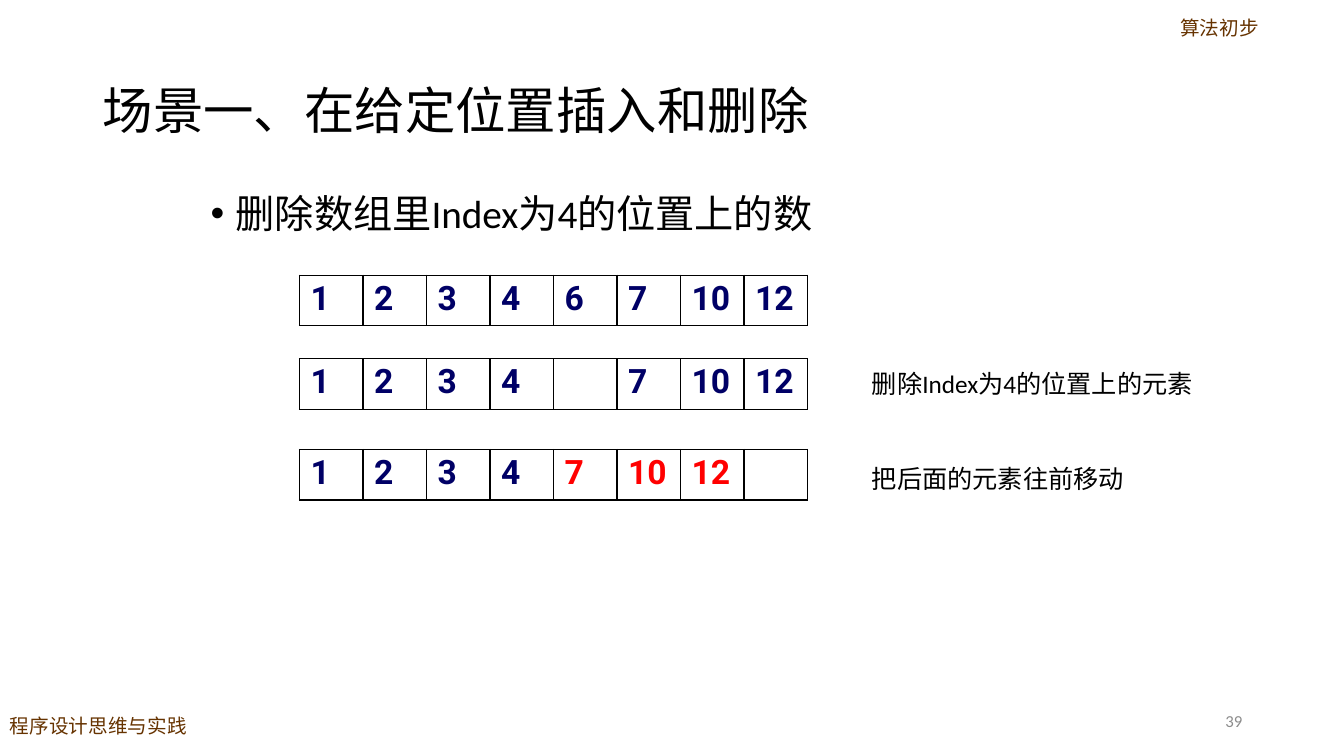
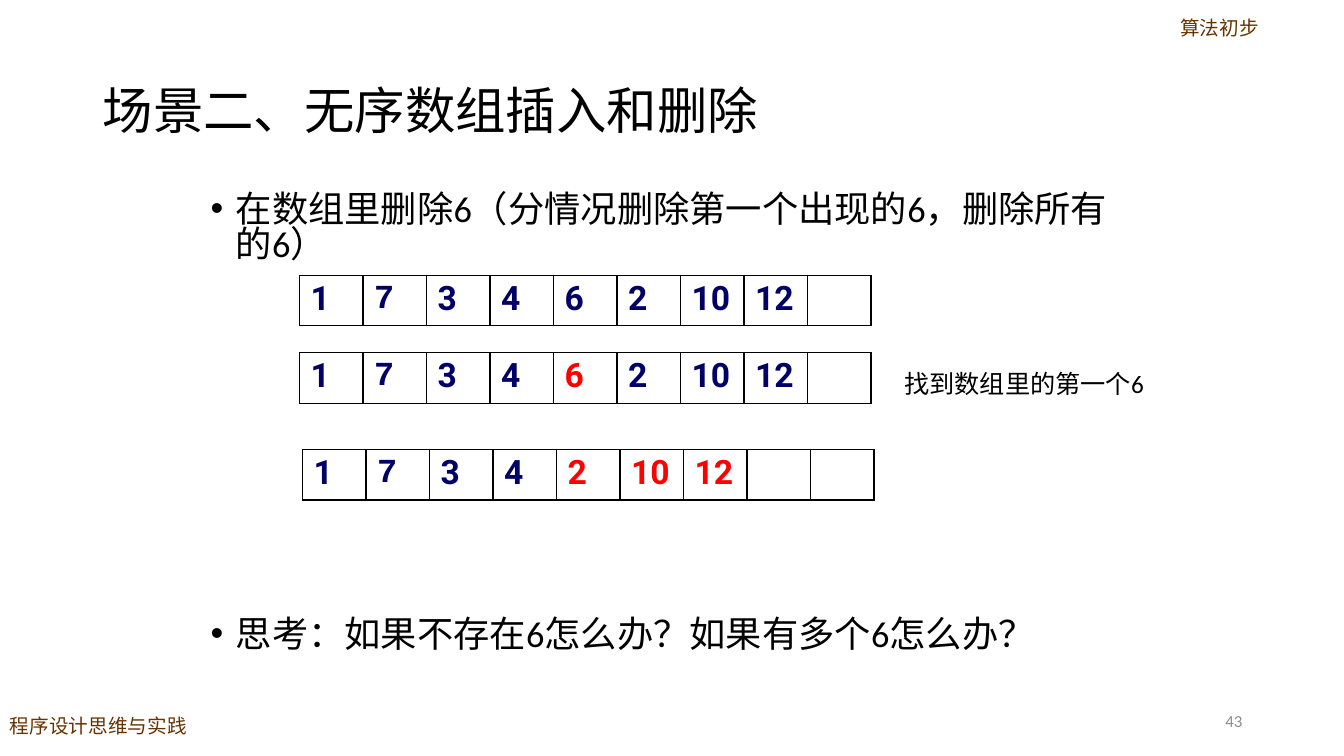
from lxml import etree
from pptx import Presentation
from pptx.dml.color import RGBColor
from pptx.enum.text import MSO_ANCHOR, PP_ALIGN
from pptx.oxml.ns import qn
from pptx.util import Pt

PX = 9144  # 100 px to the inch
LEFT, CENTER, RIGHT = PP_ALIGN.LEFT, PP_ALIGN.CENTER, PP_ALIGN.RIGHT
TOP, MIDDLE = MSO_ANCHOR.TOP, MSO_ANCHOR.MIDDLE

BLACK = RGBColor(0x00, 0x00, 0x00)
BROWN = RGBColor(0x66, 0x33, 0x00)
GREY = RGBColor(0x8C, 0x8C, 0x8C)
NAVY = RGBColor(0x00, 0x00, 0x66)
RED = RGBColor(0xFF, 0x00, 0x00)

COURSE = "程序设计思维与实践"
CHAPTER = "算法初步"
CELL_WIDTH, CELL_HEIGHT = 63, 50

# Arrays: left, top, values, indexes in red, indexes in the monospaced font.
# Notes: left, top, width, text. Bullets: space before in points, text.
SLIDES = [
    {
        "title": "场景一、在给定位置插入和删除",
        "number": "39",
        "bullet_size": 28,
        "bullet_spacing": 0.9,
        "bullets": [(0, "删除数组里Index为4的位置上的数")],
        "arrays": [
            (297, 273, ["1", "2", "3", "4", "6", "7", "10", "12"], [], []),
            (297, 356, ["1", "2", "3", "4", "", "7", "10", "12"], [], []),
            (297, 446, ["1", "2", "3", "4", "7", "10", "12", ""], [4, 5, 6], []),
        ],
        "notes": [
            (855, 361, 343, "删除Index为4的位置上的元素"),
            (855, 455, 273, "把后面的元素往前移动"),
        ],
    },
    {
        "title": "场景二、无序数组插入和删除",
        "number": "43",
        "bullet_size": 25.9,
        "bullet_spacing": 0.8,
        "bullets": [
            (0, "在数组里删除6（分情况删除第一个出现的6，删除所有的6）"),
            (254, "思考：如果不存在6怎么办？如果有多个6怎么办？"),
        ],
        "arrays": [
            (297, 273, ["1", "7", "3", "4", "6", "2", "10", "12", ""], [], [1]),
            (297, 350, ["1", "7", "3", "4", "6", "2", "10", "12", ""], [4], [1]),
            (300, 446, ["1", "7", "3", "4", "2", "10", "12", "", ""], [4, 5, 6], [1]),
        ],
        "notes": [(887, 361, 260, "找到数组里的第一个6")],
    },
]


def add_span(para, text, size, font="Calibri", color=BLACK, bold=False):
    span = para.add_run()
    span.text = text
    span.font.size = Pt(size)
    span.font.name = font
    span.font.color.rgb = color
    span.font.bold = bold


def add_box(page, left, top, width, height, anchor=TOP):
    box = page.shapes.add_textbox(left * PX, top * PX, width * PX, height * PX)
    box.text_frame.word_wrap = True
    box.text_frame.vertical_anchor = anchor
    return box.text_frame


def add_label(page, place, text, size, font="Calibri", color=BLACK,
              align=LEFT, anchor=TOP, spacing=1.0):
    para = add_box(page, *place, anchor).paragraphs[0]
    para.alignment = align
    para.line_spacing = spacing
    add_span(para, text, size, font, color)


def add_frame(page, title, number):
    """Add the footer, header, title and page number that every slide has."""
    add_label(page, (0, 706, 289, 44), COURSE, 14, "Arial", BROWN, spacing=0.9)
    add_label(page, (1064, 13, 291, 39), CHAPTER, 14, "Noto Sans CJK SC", BROWN,
              CENTER, spacing=0.9)
    add_label(page, (92, 40, 1150, 145), title, 36, "Arial",
              anchor=MIDDLE, spacing=0.9)
    add_label(page, (942, 695, 300, 40), number, 12, color=GREY,
              align=RIGHT, anchor=MIDDLE)


def add_bullets(page, bullets, size, spacing):
    frame = add_box(page, 199, 188, 934, 476)
    for index, (space, text) in enumerate(bullets):
        para = frame.add_paragraph() if index else frame.paragraphs[0]
        properties = para._p.get_or_add_pPr()
        properties.set("marL", str(25 * PX))
        properties.set("indent", str(-25 * PX))
        etree.SubElement(properties, qn("a:buFont")).set("typeface", "Arial")
        etree.SubElement(properties, qn("a:buChar")).set("char", "•")
        para.line_spacing = spacing
        para.space_before = Pt(space)
        add_span(para, text, size)


def add_borders(cell):
    properties = cell._tc.get_or_add_tcPr()
    for side in ("a:lnL", "a:lnR", "a:lnT", "a:lnB"):
        line = etree.SubElement(properties, qn(side), w=str(Pt(1)))
        fill = etree.SubElement(line, qn("a:solidFill"))
        etree.SubElement(fill, qn("a:srgbClr"), val=str(BLACK))


def add_array(page, left, top, values, red, mono):
    table = page.shapes.add_table(
        1, len(values), left * PX, top * PX,
        len(values) * CELL_WIDTH * PX, CELL_HEIGHT * PX).table
    table.first_row = False
    table.horz_banding = False
    for index, value in enumerate(values):
        table.columns[index].width = CELL_WIDTH * PX
        cell = table.cell(0, index)
        add_borders(cell)
        cell.fill.background()
        cell.margin_left = cell.margin_right = 11 * PX
        cell.margin_top = cell.margin_bottom = 5 * PX
        if value:
            para = cell.text_frame.paragraphs[0]
            para.line_spacing = 0.95
            add_span(para, value, 24, "Courier New" if index in mono else "Roboto",
                     RED if index in red else NAVY, bold=True)


def main():
    deck = Presentation()
    deck.slide_width, deck.slide_height = 1333 * PX, 750 * PX
    for content in SLIDES:
        page = deck.slides.add_slide(deck.slide_layouts[6])
        add_frame(page, content["title"], content["number"])
        add_bullets(page, content["bullets"], content["bullet_size"],
                    content["bullet_spacing"])
        for array in content["arrays"]:
            add_array(page, *array)
        for left, top, width, text in content["notes"]:
            add_label(page, (left, top, width, 40), text, 18)
    deck.save("out.pptx")


if __name__ == "__main__":
    main()
